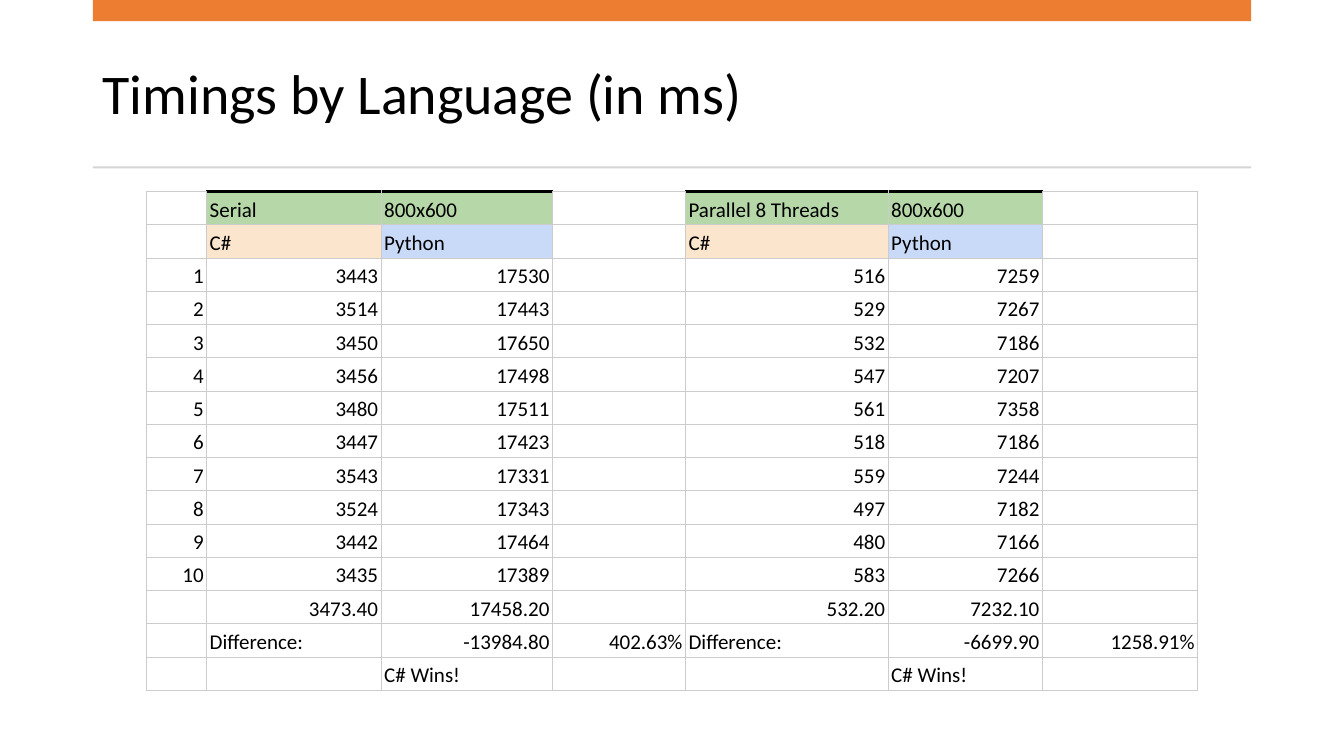
import dataclasses

import lxml.etree
import pptx
import pptx.dml.color
import pptx.enum.shapes
import pptx.enum.text
import pptx.oxml.ns
import pptx.shapes.autoshape
import pptx.slide
import pptx.table
import pptx.text.text
import pptx.util

RGBColor = pptx.dml.color.RGBColor
Align = pptx.enum.text.PP_ALIGN
Anchor = pptx.enum.text.MSO_ANCHOR
qn = pptx.oxml.ns.qn

EMU_PER_PX = 9144  # 100 px to the inch

BLACK = RGBColor(0x00, 0x00, 0x00)
ORANGE = RGBColor(0xED, 0x7D, 0x31)
RULE_GRAY = RGBColor(0xD5, 0xD5, 0xD5)
GRID_GRAY = RGBColor(0xCC, 0xCC, 0xCC)
GREEN = RGBColor(0xB6, 0xD7, 0xA8)
PEACH = RGBColor(0xFC, 0xE5, 0xCD)
BLUE = RGBColor(0xC9, 0xDA, 0xF8)

FONT = "Calibri"
TABLE_TEXT_SIZE = 15
COLUMN_WIDTHS = (60, 173, 170, 132, 201, 153, 154)
ROW_HEIGHT = 33


@dataclasses.dataclass(frozen=True)
class Bar:
    top: int
    height: int
    color: RGBColor


@dataclasses.dataclass(frozen=True)
class Cell:
    text: str = ""
    align: Align = Align.LEFT
    fill: RGBColor | None = None
    heavy_top: bool = False


@dataclasses.dataclass(frozen=True)
class Benchmark:
    name: str
    csharp: tuple[int, ...]
    python: tuple[int, ...]


BARS = (Bar(0, 21, ORANGE), Bar(165, 2, RULE_GRAY))

BENCHMARKS = (
    Benchmark(
        "Serial",
        (3443, 3514, 3450, 3456, 3480, 3447, 3543, 3524, 3442, 3435),
        (17530, 17443, 17650, 17498, 17511, 17423, 17331, 17343, 17464, 17389),
    ),
    Benchmark(
        "Parallel 8 Threads",
        (516, 529, 532, 547, 561, 518, 559, 497, 480, 583),
        (7259, 7267, 7186, 7207, 7358, 7186, 7244, 7182, 7166, 7266),
    ),
)


def px(length: int) -> pptx.util.Emu:
    return pptx.util.Emu(length * EMU_PER_PX)


def write_text(
    frame: pptx.text.text.TextFrame,
    text: str,
    *,
    size: int,
    align: Align = Align.LEFT,
    line_spacing: float | None = None,
) -> None:
    paragraph = frame.paragraphs[0]
    paragraph.alignment = align
    paragraph.line_spacing = line_spacing
    if not text:
        # An empty cell still needs a text size, or its row grows.
        lxml.etree.SubElement(paragraph._p, qn("a:endParaRPr"), sz=str(size * 100))
        return
    run = paragraph.add_run()
    run.text = text
    run.font.name = FONT
    run.font.size = pptx.util.Pt(size)
    run.font.color.rgb = BLACK


def add_bar(slide: pptx.slide.Slide, bar: Bar) -> None:
    shape = slide.shapes.add_shape(
        pptx.enum.shapes.MSO_SHAPE.RECTANGLE, px(92), px(bar.top), px(1149), px(bar.height)
    )
    shape.shadow.inherit = False
    shape.fill.solid()
    shape.fill.fore_color.rgb = bar.color
    shape.line.fill.background()


def add_title(slide: pptx.slide.Slide, text: str) -> None:
    frame = slide.shapes.add_textbox(px(92), px(37), px(1149), px(118)).text_frame
    frame.word_wrap = True
    frame.vertical_anchor = Anchor.MIDDLE
    write_text(frame, text, size=40, line_spacing=0.9)


def right(text: str) -> Cell:
    return Cell(text, Align.RIGHT)


def benchmark_columns(benchmark: Benchmark) -> list[list[Cell]]:
    """Build the C#, Python and percentage columns of one benchmark."""
    csharp_mean = sum(benchmark.csharp) / len(benchmark.csharp)
    python_mean = sum(benchmark.python) / len(benchmark.python)
    csharp = [
        Cell(benchmark.name, fill=GREEN, heavy_top=True),
        Cell("C#", fill=PEACH),
        *(right(str(timing)) for timing in benchmark.csharp),
        right(f"{csharp_mean:.2f}"),
        Cell("Difference:"),
        Cell(),
    ]
    python = [
        Cell("800x600", fill=GREEN, heavy_top=True),
        Cell("Python", fill=BLUE),
        *(right(str(timing)) for timing in benchmark.python),
        right(f"{python_mean:.2f}"),
        right(f"{csharp_mean - python_mean:.2f}"),
        Cell("C# Wins!"),
    ]
    percentage = [Cell()] * len(csharp)
    percentage[-2] = right(f"{python_mean / csharp_mean - 1:.2%}")
    return [csharp, python, percentage]


def set_border(cell: pptx.table._Cell, side: str, color: RGBColor, points: float) -> None:
    width = str(pptx.util.Pt(points))
    line = lxml.etree.SubElement(cell._tc.get_or_add_tcPr(), qn(f"a:ln{side}"), w=width)
    fill = lxml.etree.SubElement(line, qn("a:solidFill"))
    lxml.etree.SubElement(fill, qn("a:srgbClr"), val=str(color))


def draw_cell(cell: pptx.table._Cell, content: Cell) -> None:
    cell.margin_left = cell.margin_right = px(3)
    cell.margin_top = cell.margin_bottom = px(2)
    cell.vertical_anchor = Anchor.BOTTOM
    write_text(cell.text_frame, content.text, size=TABLE_TEXT_SIZE, align=content.align)
    for side in "LRTB":
        if side == "T" and content.heavy_top:
            set_border(cell, side, BLACK, 2.25)
        else:
            set_border(cell, side, GRID_GRAY, 0.75)
    if content.fill is None:
        cell.fill.background()
    else:
        cell.fill.solid()
        cell.fill.fore_color.rgb = content.fill


def add_timings_table(slide: pptx.slide.Slide) -> None:
    run_count = len(BENCHMARKS[0].csharp)
    run_numbers = [right(str(number)) for number in range(1, run_count + 1)]
    columns = [[Cell()] * 2 + run_numbers + [Cell()] * 3]
    for benchmark in BENCHMARKS:
        columns += benchmark_columns(benchmark)

    row_count = len(columns[0])
    table = slide.shapes.add_table(
        row_count, len(columns), px(145), px(190), px(sum(COLUMN_WIDTHS)), px(row_count * ROW_HEIGHT)
    ).table
    table.first_row = table.horz_banding = False
    for row in table.rows:
        row.height = px(ROW_HEIGHT)
    for column_index, (width, column) in enumerate(zip(COLUMN_WIDTHS, columns)):
        table.columns[column_index].width = px(width)
        for row_index, content in enumerate(column):
            draw_cell(table.cell(row_index, column_index), content)


def main() -> None:
    presentation = pptx.Presentation()
    presentation.slide_width = px(1333)
    presentation.slide_height = px(750)
    slide = presentation.slides.add_slide(presentation.slide_layouts[6])
    add_title(slide, "Timings by Language (in ms)")
    for bar in BARS:
        add_bar(slide, bar)
    add_timings_table(slide)
    presentation.save("out.pptx")


if __name__ == "__main__":
    main()
